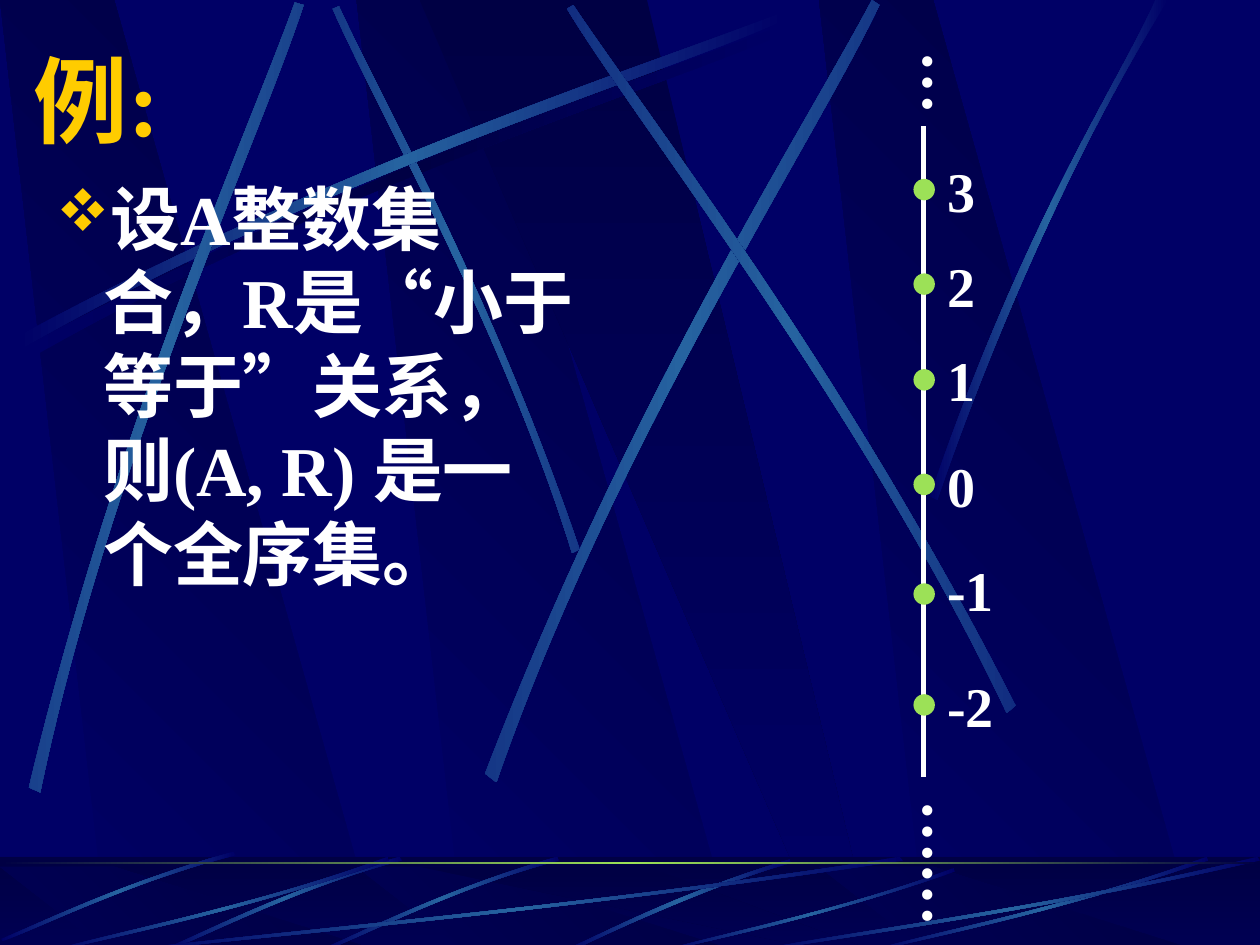
import math

from lxml import etree
from pptx import Presentation
from pptx.dml.color import RGBColor
from pptx.enum import shapes, text
from pptx.oxml import ns
from pptx.util import Inches, Pt

NAVY, DARK, STEEL, GREEN = "000066", "000044", "2663A0", "9CE157"
WHITE, GOLD = "FFFFFF", "FFCC00"
LATIN, CJK = "Times New Roman", "Noto Sans CJK SC"
GLOW = [(0, NAVY), (50, STEEL), (100, NAVY)]
SHADE = [(0, NAVY), (50, DARK), (100, NAVY)]

# Outlines in a unit box
BEAM = [(0.285, 1), (1, 1), (0.3, 0), (0, 0)]
SHARD = [(0, 0), (0.9, 1), (1, 1), (0.5, 0)]
SWEEP = [(1, 0.04), (0.565, 0.573), (0.172, 0.853), (0.005, 1),
         (0, 0.987), (0.165, 0.813), (0.616, 0.507), (0.995, 0)]
TILTED = [(0.99, 0), (0.527, 0.333), (0.165, 0.8), (0, 0.973),
          (0.005, 1), (0.17, 0.84), (0.58, 0.307), (1, 0.04)]

# Streaks: two cubic edges of four points each, and the rotation
ARC = [(0.14, 2.67), (2.78, 1.25), (5.18, 0.51), (6.2, 0.1),
       (6.23, 0.16), (5.22, 0.61), (2.48, 1.43), (0.17, 2.77)]
STREAKS = [
    ([(4.6, 4.36), (3.91, 2.34), (3.02, 0.77), (2.69, 0.05),
      (2.64, 0.07), (2.95, 0.79), (3.98, 2.58), (4.54, 4.39)], 45),
    (ARC, 0),
    ([(0.23, 6.25), (0.93, 3.34), (1.97, 1.05), (2.34, 0.02),
      (2.41, 0.04), (2.07, 1.09), (0.86, 3.68), (0.32, 6.29)], 311.7),
    ([(3.85, 6.14), (4.98, 3.2), (6.38, 1.02), (6.92, 0),
      (6.98, 0.04), (6.49, 1.08), (4.86, 3.55), (3.94, 6.21)], 321.6),
    ([(8.06, 5.6), (6.7, 2.93), (5.16, 0.95), (4.55, 0.04),
      (4.5, 0.07), (5.07, 1.01), (6.85, 3.25), (7.99, 5.66)], 34.8),
    ([(7.38, 3.94), (8.14, 1.73), (8.88, 0.66), (9.17, 0),
      (9.27, 0), (8.36, 1.45), (7.69, 3.22), (7.44, 3.97)], 0),
]
# Integer, top of its dot, top of its label
INTEGERS = [("3", 1.42, 1.09), ("2", 2.17, 1.84), ("1", 2.93, 2.59),
            ("0", 3.76, 3.43), ("-1", 4.63, 4.25), ("-2", 5.51, 5.17)]


def rgb(color):
    return RGBColor.from_string(color)


def sub(parent, tag, **attrs):
    return etree.SubElement(parent, ns.qn(tag), {k: str(v) for k, v in attrs.items()})


def paint(sp, fill, angle=0, alpha=None):
    """Fill with a hex colour or gradient stops; angle runs clockwise."""
    sp.shadow.inherit = False
    sp.line.fill.background()
    if isinstance(fill, str):
        sp.fill.solid()
        sp.fill.fore_color.rgb = rgb(fill)
        if alpha:
            clr = sp._element.spPr.find(".//" + ns.qn("a:srgbClr"))
            sub(clr, "a:alpha", val=alpha * 1000)
        return
    grad = etree.Element(ns.qn("a:gradFill"), rotWithShape="0")
    stops = sub(grad, "a:gsLst")
    for pos, color in fill:
        sub(sub(stops, "a:gs", pos=pos * 1000), "a:srgbClr", val=color)
    sub(grad, "a:lin", ang=angle * 60000, scaled=0)
    sp._element.spPr.find(ns.qn("a:ln")).addprevious(grad)


def add_preset(slide, kind, box, fill, **style):
    sp = slide.shapes.add_shape(kind, *map(Inches, box))
    paint(sp, fill, **style)


def in_box(unit, box):
    x, y, w, h = box
    return [(x + u * w, y + v * h) for u, v in unit]


def turn(x, y, degrees):
    a = math.radians(degrees)
    return x * math.cos(a) - y * math.sin(a), x * math.sin(a) + y * math.cos(a)


def add_outline(slide, pts, fill, angle=0, rot=0):
    """Draw pts as a closed shape whose frame is turned by rot."""
    flat = [turn(x, y, -rot) for x, y in pts]
    emu = [(Inches(x), Inches(y)) for x, y in flat]
    fb = slide.shapes.build_freeform(*emu[0], scale=1.0)
    fb.add_line_segments(emu[1:], close=True)
    sp = fb.convert_to_shape()
    cx, cy = turn(sp.left + sp.width / 2, sp.top + sp.height / 2, rot)
    sp.left, sp.top = int(cx - sp.width / 2), int(cy - sp.height / 2)
    sp.rotation = rot
    paint(sp, fill, angle)
    return sp


def add_streak(slide, pts, fill=GLOW, rot=0):
    """Draw eight points as two cubic edges joined by straight ends."""
    sp = add_outline(slide, pts, fill, rot=rot)
    lines = list(sp._element.spPr.iter(ns.qn("a:lnTo")))
    for edge in (lines[:3], lines[4:7]):
        curve = etree.Element(ns.qn("a:cubicBezTo"))
        edge[0].addprevious(curve)
        for line in edge:
            curve.append(line[0])
            line.getparent().remove(line)


def add_text(slide, runs, box, size, color=WHITE, wrap=True, vertical=False,
             anchor=text.MSO_ANCHOR.TOP, spacing=None, bullet=None):
    """Each run is a pair of wording and Latin font."""
    tf = slide.shapes.add_textbox(*map(Inches, box)).text_frame
    tf.word_wrap = wrap
    if not wrap:
        tf.auto_size = text.MSO_AUTO_SIZE.SHAPE_TO_FIT_TEXT
    tf.vertical_anchor = anchor
    if vertical:
        tf._txBody.bodyPr.set("vert", "eaVert")
        tf.margin_left = tf.margin_right = Inches(0.05)
        tf.margin_top = tf.margin_bottom = Inches(0.1)
    p = tf.paragraphs[0]
    if bullet:
        pPr = p._p.get_or_add_pPr()
        pPr.set("marL", str(Inches(0.47)))
        pPr.set("indent", str(Inches(-0.37)))
        pPr.set("hangingPunct", "0")
        sub(sub(pPr, "a:buClr"), "a:srgbClr", val=GOLD)
        sub(pPr, "a:buSzPct", val=85000)
        sub(pPr, "a:buFont", typeface="Wingdings", charset=2)
        sub(pPr, "a:buChar", char=bullet)
    if spacing:
        p.line_spacing = spacing
    for wording, face in runs:
        r = p.add_run()
        r.text = wording
        r.font.name, r.font.size, r.font.bold = face, Pt(size), True
        r.font.color.rgb = rgb(color)
        sub(r._r.get_or_add_rPr(), "a:ea", typeface=CJK)


def add_beams(slide, top, height):
    for x in (2.83, 0, 6.5):
        add_outline(slide, in_box(BEAM, (x, top, 3.02, height)),
                    [(0, NAVY), (100, DARK)], 315)
    add_outline(slide, in_box(SHARD, (3.33, top, 3.61, height)),
                [(0, DARK), (100, NAVY)], 90)


def add_backdrop(slide):
    rect, floor = shapes.MSO_SHAPE.RECTANGLE, (0, 6.8, 10, 0.75)
    # Wall
    add_beams(slide, 0, 7.52)
    add_streak(slide, [(x + 0.06, y + 0.08) for x, y in ARC], SHADE)
    for pts, rot in STREAKS:
        add_streak(slide, pts, rot=rot)
    # Floor
    add_preset(slide, rect, floor, [(0, DARK), (100, NAVY)], angle=90)
    add_beams(slide, 6.88, 0.67)
    add_preset(slide, rect, floor, DARK, alpha=50)
    add_streak(slide, [(6.27, 6.82), (5.37, 7.09), (4.77, 7.42), (4.48, 7.54),
                       (4.53, 7.55), (4.9, 7.37), (5.71, 7), (6.28, 6.85)])
    for box in ((2.56, 6.8, 1.88, 0.75), (1.31, 6.8, 1.88, 0.75), (0.01, 6.76, 1.86, 0.71)):
        add_streak(slide, in_box(TILTED, box), rot=314.9)
    for box in ((1, 6.8, 6.17, 0.75), (0.42, 6.8, 2.67, 0.75), (5.27, 6.89, 2.31, 0.66),
                (6.92, 6.8, 2.67, 0.75), (6, 6.8, 4, 0.75)):
        add_streak(slide, in_box(SWEEP, box))
    # Horizon
    add_preset(slide, rect, (0, 6.84, 10, 0.02), [(0, DARK), (50, GREEN), (100, DARK)])


def add_number_line(slide):
    axis = slide.shapes.add_connector(shapes.MSO_CONNECTOR.STRAIGHT, Inches(7.33),
                                      Inches(1), Inches(7.33), Inches(6.17))
    axis.line.color.rgb, axis.line.width = rgb(WHITE), Pt(3)
    sub(axis._element.spPr, "a:effectLst")
    for number, dot_top, label_top in INTEGERS:
        add_preset(slide, shapes.MSO_SHAPE.OVAL, (7.25, dot_top, 0.17, 0.17), GREEN)
        width = 0.42 if len(number) == 1 else 0.57
        add_text(slide, [(number, LATIN)], (7.42, label_top, width, 0.74),
                 32, wrap=False, spacing=1.2)
    for dots, top, height in (("…", 0.31, 0.6), ("……", 6.25, 1.1)):
        add_text(slide, [(dots, LATIN)], (7.08, top, 0.92, height), 36,
                 wrap=False, vertical=True, spacing=1.2)


def main():
    prs = Presentation()
    prs.slide_width, prs.slide_height = Inches(10), Inches(7.5)
    slide = prs.slides.add_slide(prs.slide_layouts[6])
    slide.background.fill.solid()
    slide.background.fill.fore_color.rgb = rgb(NAVY)
    add_backdrop(slide)
    # Title and statement
    add_text(slide, [("例:", LATIN)], (0.17, 0.28, 9.5, 1), 54, GOLD,
             anchor=text.MSO_ANCHOR.MIDDLE)
    add_text(slide, [("设A整数集合，R是“小于等于”关系，则(A, R) ", LATIN), ("是一个全序集。", CJK)],
             (0.25, 1.34, 4.44, 5.67), 40, spacing=Pt(48), bullet="v")
    add_number_line(slide)
    prs.save("out.pptx")


if __name__ == "__main__":
    main()
